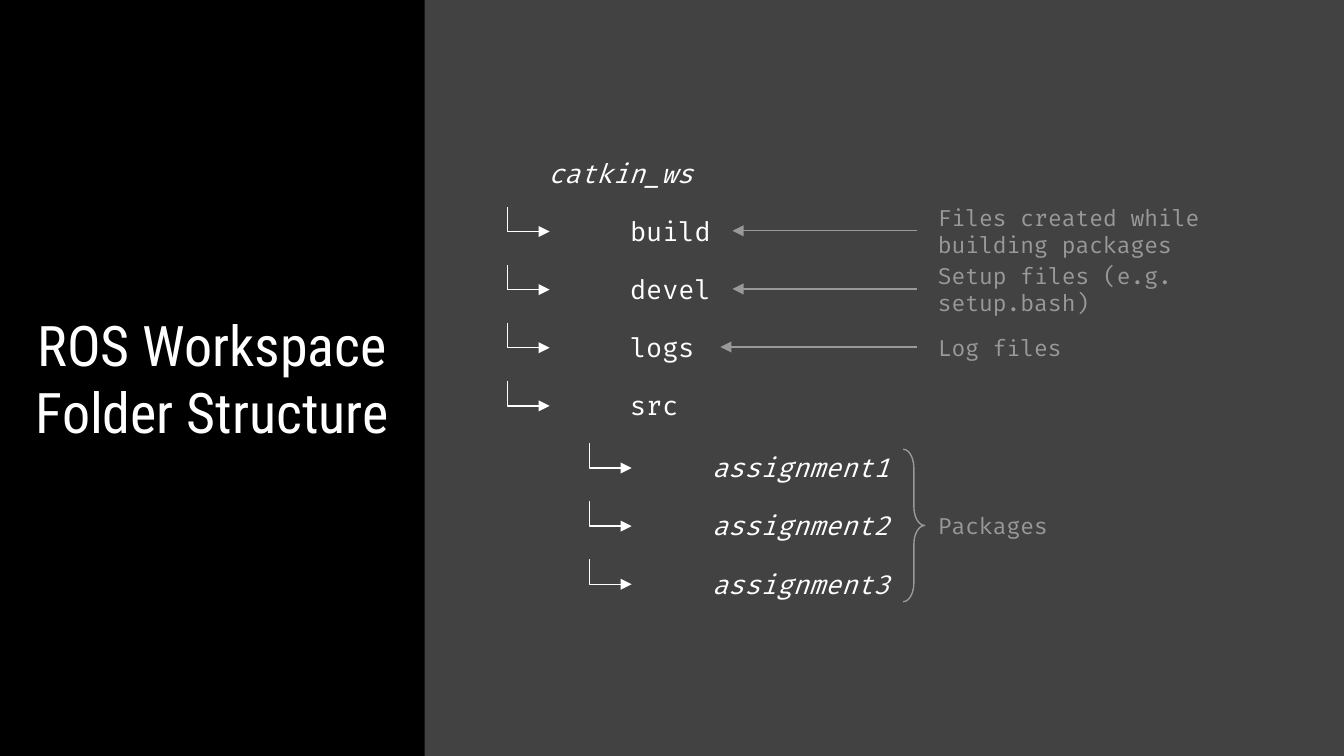
from lxml import etree
from pptx import Presentation
from pptx.dml.color import RGBColor
from pptx.enum import shapes as kinds, text as styles
from pptx.oxml.ns import qn
from pptx.util import Inches, Pt

WIDTH = 10
HEIGHT = WIDTH * 9 / 16
BLACK, GREY, WHITE, MUTED = "000000", "424242", "FFFFFF", "999999"

TITLE = "ROS Workspace Folder Structure"
# level, folder name, italic, width
FOLDERS = [
    (0, "catkin_ws", True, 1.44),
    (1, "build", False, 1.44),
    (1, "devel", False, 1.44),
    (1, "logs", False, 1.44),
    (1, "src", False, 1.44),
    (2, "assignment1", True, 1.52),
    (2, "assignment2", True, 1.52),
    (2, "assignment3", True, 1.52),
]
# row, note, width, x of the arrow's tip (None: no arrow)
NOTES = [
    (1, "Files created while building packages", 2.28, 5.45),
    (2, "Setup files (e.g. setup.bash)", 2.28, 5.45),
    (3, "Log files", 1.4, 5.36),
    (6, "Packages", 1.21, None),
]

TITLE_WIDTH = 3.16
FIRST_PACKAGE, LAST_PACKAGE = 5, 7
TREE_LEFT, TREE_TOP, SRC_TOP = 3.98, 1.06, 2.79
INDENT, ROW_HEIGHT = 0.61, 0.45
PITCH = (SRC_TOP - TREE_TOP) / 4
PACKAGE_GAP = 0.03
NOTE_LEFT, ARROW_START = 6.88, 6.82


def color(hex_code):
    return RGBColor.from_string(hex_code)


def row_top(row):
    return TREE_TOP + row * PITCH + (PACKAGE_GAP if row >= FIRST_PACKAGE else 0)


def write(shape, words, size=14, font="Fira Code", ink=WHITE, italic=False,
          align=styles.PP_ALIGN.LEFT):
    frame = shape.text_frame
    frame.word_wrap = True
    frame.vertical_anchor = styles.MSO_ANCHOR.MIDDLE
    frame.margin_left = frame.margin_right = Inches(0.1)
    frame.margin_top = frame.margin_bottom = Inches(0.1)
    paragraph = frame.paragraphs[0]
    paragraph.alignment = align
    run = paragraph.add_run()
    run.text = words
    run.font.name, run.font.size = font, Pt(size)
    run.font.italic = italic
    run.font.color.rgb = color(ink)


def label(slide, words, left, top, width, **style):
    box = slide.shapes.add_textbox(
        Inches(left), Inches(top), Inches(width), Inches(ROW_HEIGHT))
    write(box, words, **style)


def arrow(slide, start, end, ink, kind=kinds.MSO_CONNECTOR.STRAIGHT):
    line = slide.shapes.add_connector(kind, *map(Inches, start + end))
    line.line.color.rgb = color(ink)
    line.line.width = Pt(0.75)
    properties = line._element.spPr
    etree.SubElement(properties.find(qn("a:ln")), qn("a:tailEnd"), type="triangle")
    etree.SubElement(properties, qn("a:effectLst"))
    return line


def branch(slide, left, top):
    """Elbow that drops first, then points right."""
    elbow = arrow(slide, (left, top), (left + 0.31, top + 0.18), WHITE,
                  kinds.MSO_CONNECTOR.ELBOW)
    geometry = elbow._element.spPr.find(qn("a:prstGeom"))
    guides = geometry.find(qn("a:avLst"))
    if guides is None:
        guides = etree.SubElement(geometry, qn("a:avLst"))
    etree.SubElement(guides, qn("a:gd"), name="adj1", fmla="val -2000")


def add_title(slide):
    panel = slide.shapes.add_shape(
        kinds.MSO_SHAPE.RECTANGLE, 0, 0, Inches(TITLE_WIDTH), Inches(HEIGHT))
    panel.shadow.inherit = False
    panel.fill.solid()
    panel.fill.fore_color.rgb = color(BLACK)
    panel.line.fill.background()
    write(panel, TITLE, size=30, font="Roboto Condensed",
          align=styles.PP_ALIGN.CENTER)


def add_tree(slide):
    for row, (level, name, italic, width) in enumerate(FOLDERS):
        left, top = TREE_LEFT + level * INDENT, row_top(row)
        if level:
            branch(slide, left - 0.81, top + 0.05)
        label(slide, name, left, top, width, italic=italic)


def add_notes(slide):
    for row, note, width, tip in NOTES:
        top = row_top(row)
        label(slide, note, NOTE_LEFT, top, width, size=12, ink=MUTED)
        if tip:
            middle = top + ROW_HEIGHT / 2
            arrow(slide, (ARROW_START, middle), (tip, middle), MUTED)


def add_package_brace(slide):
    top = row_top(FIRST_PACKAGE) + 0.09
    bottom = row_top(LAST_PACKAGE) + ROW_HEIGHT - 0.09
    brace = slide.shapes.add_shape(
        kinds.MSO_SHAPE.RIGHT_BRACE, Inches(NOTE_LEFT - 0.16), Inches(top),
        Inches(0.16), Inches(bottom - top))
    brace.adjustments[0] = 0.87
    brace.shadow.inherit = False
    brace.fill.background()
    brace.line.color.rgb = color(MUTED)
    brace.line.width = Pt(0.75)


def main():
    deck = Presentation()
    deck.slide_width, deck.slide_height = Inches(WIDTH), Inches(HEIGHT)
    slide = deck.slides.add_slide(deck.slide_layouts[6])
    slide.background.fill.solid()
    slide.background.fill.fore_color.rgb = color(GREY)
    add_title(slide)
    add_tree(slide)
    add_notes(slide)
    add_package_brace(slide)
    deck.save("out.pptx")


if __name__ == "__main__":
    main()
